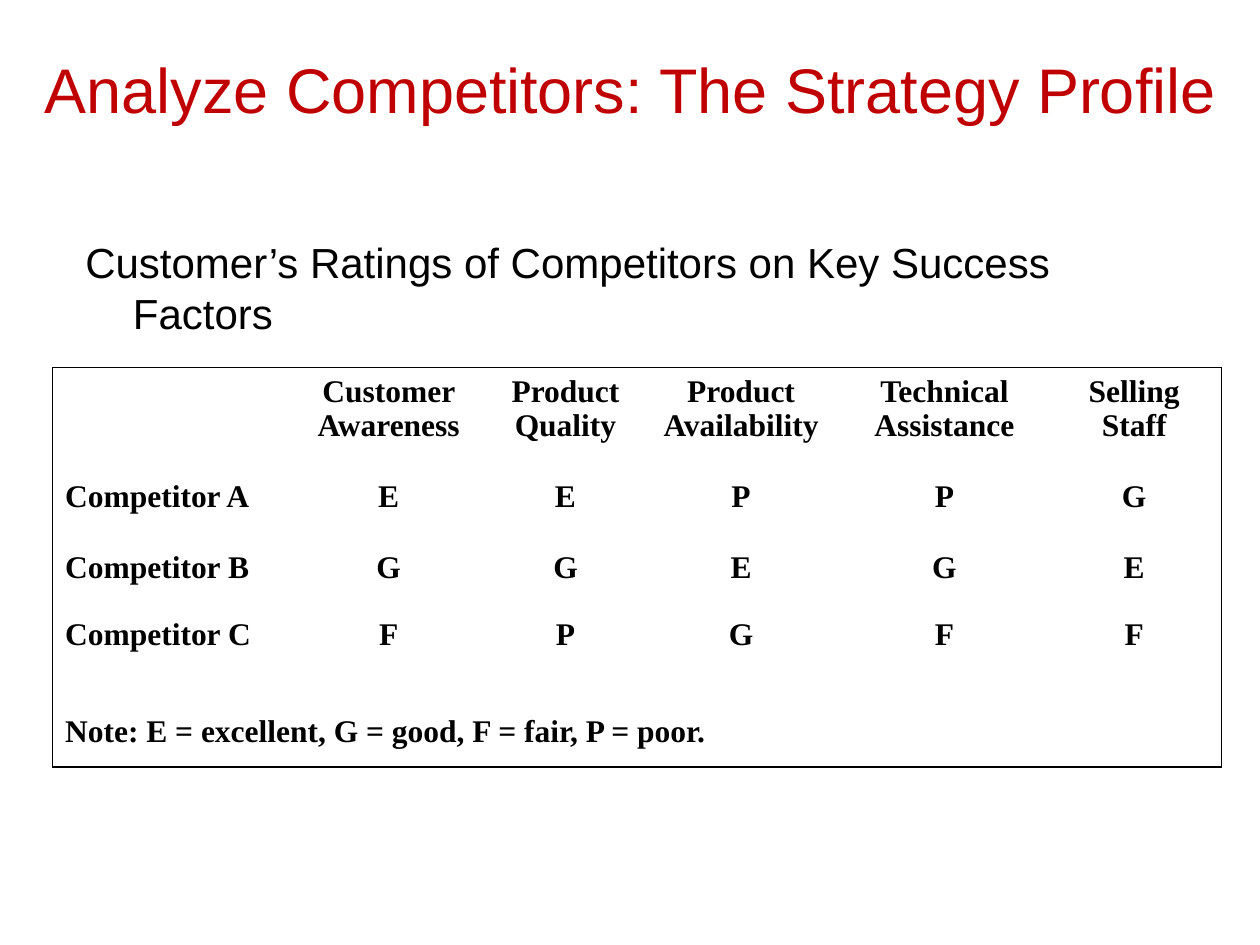
"""Build a slide with a strategy profile table of competitor ratings."""
from dataclasses import dataclass

from lxml import etree
from pptx import Presentation
from pptx.dml.color import RGBColor
from pptx.enum.text import MSO_ANCHOR, PP_ALIGN
from pptx.oxml.ns import qn
from pptx.util import Cm, Pt

LEFT, CENTER = PP_ALIGN.LEFT, PP_ALIGN.CENTER
TOP, MIDDLE = MSO_ANCHOR.TOP, MSO_ANCHOR.MIDDLE

TITLE = "Analyze Competitors: The Strategy Profile"
SUBTITLE = "Customer’s Ratings of Competitors on Key Success Factors"
RATINGS = [
    ["", "Customer Awareness", "Product Quality", "Product Availability",
     "Technical Assistance", "Selling Staff"],
    ["Competitor A", "E", "E", "P", "P", "G"],
    ["Competitor B", "G", "G", "E", "G", "E"],
    ["Competitor C", "F", "P", "G", "F", "F"],
]
NOTE = "Note: E = excellent, G = good, F = fair, P = poor."

TITLE_BOX = (0.43, 0.2, 24.56, 3.18)
SUBTITLE_BOX = (1.47, 4.65, 22.86, 1.47)
TABLE_ORIGIN = (1.06, 7.41)
COLUMN_WIDTHS = [4.72, 4.11, 3.02, 4.06, 4.14, 3.51]
ROW_HEIGHTS = [2.13, 1.42, 1.35, 1.12, 2.03]
HANGING_INDENT = 0.96
NOTE_TOP_MARGIN = 0.97


@dataclass(frozen=True)
class Theme:
    """Fonts, type sizes and colours."""
    heading_font: str = "Arial"
    table_font: str = "Times New Roman"
    title_size: int = 36
    subtitle_size: int = 24
    table_size: int = 18
    border_width: int = 1
    title_color: str = "C00000"
    text_color: str = "000000"


THEME = Theme()


def write(text_frame, text, font, size, color, alignment, bold=False):
    """Fill a text frame with one formatted paragraph and return it."""
    text_frame.text = text
    paragraph = text_frame.paragraphs[0]
    paragraph.alignment = alignment
    for run in paragraph.runs:
        run.font.name = font
        run.font.size = Pt(size)
        run.font.bold = bold
        run.font.color.rgb = RGBColor.from_string(color)
    return paragraph


def add_heading(slide, box, text, size, color, alignment, anchor):
    """Add a wrapping heading and return its paragraph."""
    text_frame = slide.shapes.add_textbox(*map(Cm, box)).text_frame
    text_frame.word_wrap = True
    text_frame.vertical_anchor = anchor
    return write(text_frame, text, THEME.heading_font, size, color, alignment)


def set_borders(cell, visible_sides):
    """Draw the visible sides of a cell and hide the others."""
    properties = cell._tc.get_or_add_tcPr()
    for position, side in enumerate("LRTB"):
        line = etree.Element(qn(f"a:ln{side}"), w=str(Pt(THEME.border_width)))
        if side in visible_sides:
            fill = etree.SubElement(line, qn("a:solidFill"))
            etree.SubElement(fill, qn("a:srgbClr"), val=THEME.text_color)
        else:
            etree.SubElement(line, qn("a:noFill"))
        properties.insert(position, line)


def add_ratings(slide):
    """Add the ratings table with an outer frame and a note row."""
    rows = RATINGS + [[NOTE] + [""] * (len(COLUMN_WIDTHS) - 1)]
    last_row, last_column = len(rows) - 1, len(COLUMN_WIDTHS) - 1
    size = (sum(COLUMN_WIDTHS), sum(ROW_HEIGHTS))
    table = slide.shapes.add_table(
        len(rows), len(COLUMN_WIDTHS), *map(Cm, TABLE_ORIGIN + size)).table
    table.first_row = table.horz_banding = False
    for column, width in zip(table.columns, COLUMN_WIDTHS):
        column.width = Cm(width)
    for row, height in zip(table.rows, ROW_HEIGHTS):
        row.height = Cm(height)
    for row_index, values in enumerate(rows):
        for column_index, value in enumerate(values):
            cell = table.cell(row_index, column_index)
            write(cell.text_frame, value, THEME.table_font, THEME.table_size,
                  THEME.text_color, CENTER if column_index else LEFT, bold=True)
            cell.fill.background()
            edges = {"L": column_index == 0, "R": column_index == last_column,
                     "T": row_index == 0, "B": row_index == last_row}
            set_borders(cell, [side for side, outer in edges.items() if outer])
    note_cell = table.cell(last_row, 0)
    note_cell.merge(table.cell(last_row, last_column))
    note_cell.margin_top = Cm(NOTE_TOP_MARGIN)
    set_outer = note_cell._tc.get_or_add_tcPr().find(qn("a:lnR"))
    end_line = table.cell(last_row, last_column)._tc.tcPr.find(qn("a:lnR"))
    set_outer.getparent().replace(set_outer, end_line)


def main():
    """Build and save the slide."""
    presentation = Presentation()
    presentation.slide_width, presentation.slide_height = Cm(25.4), Cm(19.05)
    slide = presentation.slides.add_slide(presentation.slide_layouts[6])
    add_heading(slide, TITLE_BOX, TITLE, THEME.title_size,
                THEME.title_color, CENTER, MIDDLE)
    subtitle = add_heading(slide, SUBTITLE_BOX, SUBTITLE, THEME.subtitle_size,
                           THEME.text_color, LEFT, TOP)
    properties = subtitle._p.get_or_add_pPr()
    properties.set("marL", str(Cm(HANGING_INDENT)))
    properties.set("indent", str(-Cm(HANGING_INDENT)))
    add_ratings(slide)
    presentation.save("out.pptx")


if __name__ == "__main__":
    main()
